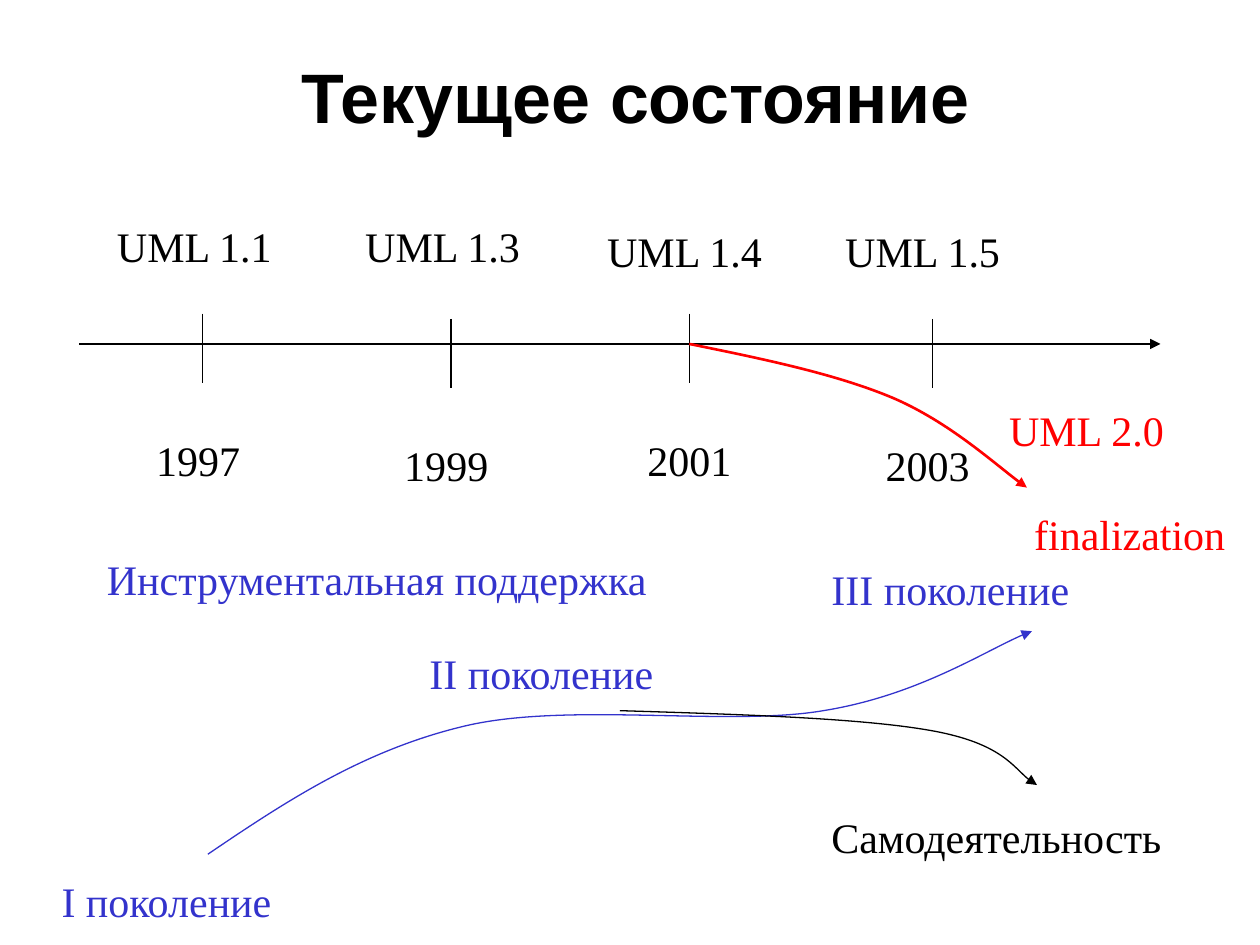
from lxml import etree
from pptx import Presentation
from pptx.dml.color import RGBColor
from pptx.enum.shapes import MSO_CONNECTOR
from pptx.enum.text import MSO_ANCHOR, MSO_AUTO_SIZE, PP_ALIGN
from pptx.oxml.ns import qn
from pptx.util import Inches, Pt

STRAIGHT = MSO_CONNECTOR.STRAIGHT
MIDDLE, CENTER, LEFT = MSO_ANCHOR.MIDDLE, PP_ALIGN.CENTER, PP_ALIGN.LEFT
GROW, FIXED = MSO_AUTO_SIZE.SHAPE_TO_FIT_TEXT, MSO_AUTO_SIZE.NONE

THEME = {
    "black": RGBColor(0, 0, 0),
    "red": RGBColor(0xFF, 0, 0),
    "blue": RGBColor(0x33, 0x33, 0xCC),
    "title": {"name": "Arial", "size": Pt(40), "bold": True},
    "label": {"name": "Times New Roman", "size": Pt(24), "bold": False},
    "thin": 0.74,
    "thick": 1.5,
}

# Content
TITLE = "Текущее состояние"
AXIS = (0.63, 9.21, 2.73)  # left, right, height on the slide
TICK_LENGTH, LABEL_HEIGHT = 0.55, 0.5
YEAR_WIDTH, VERSION_WIDTH = 0.98, 1.69
YEAR_DROP = 0.91  # from the top of a tick to its year
# version, version left and top, year, year left, tick x and top
RELEASES = [
    ("UML 1.1", 0.83, 1.7, "1997", 1.14, 1.61, 2.49),
    ("UML 1.3", 2.8, 1.7, "1999", 3.11, 3.58, 2.53),
    ("UML 1.4", 4.72, 1.74, "2001", 5.04, 5.47, 2.49),
    ("UML 1.5", 6.61, 1.74, "2003", 6.93, 7.4, 2.53),
]
# text, left, top, width, colour
LABELS = [
    ("UML 2.0", 7.91, 3.16, 1.61, "red"),
    ("finalization", 8.11, 3.99, 1.77, "red"),
    ("Инструментальная поддержка", 0.75, 4.34, 4.65, "blue"),
    ("I поколение", 0.39, 6.9, 2.56, "blue"),
    ("II поколение", 3.31, 5.09, 2.56, "blue"),
    ("III поколение", 6.5, 4.42, 2.56, "blue"),
    ("Самодеятельность", 6.5, 6.39, 3.35, "black"),
]
# colour, weight, start point followed by Bezier triples
CURVES = [
    ("red", "thick", [(5.47, 2.73), (6.06, 2.85), (6.64, 2.97), (7.09, 3.16),
                      (7.53, 3.35), (7.96, 3.74), (8.15, 3.87)]),
    ("blue", "thin", [(1.65, 6.78), (2.27, 6.36), (2.89, 5.95), (3.7, 5.76),
                      (4.52, 5.57), (5.79, 5.77), (6.54, 5.64),
                      (7.28, 5.52), (7.89, 5.12), (8.19, 5.01)]),
    ("black", "thin", [(4.92, 5.64), (5.89, 5.67), (6.85, 5.7), (7.4, 5.8),
                       (7.95, 5.9), (8.09, 6.16), (8.23, 6.23)]),
]


def write(shape, text, style, colour, align, fit):
    frame = shape.text_frame
    frame.word_wrap = True
    frame.auto_size = fit
    paragraph = frame.paragraphs[0]
    paragraph.alignment = align
    run = paragraph.add_run()
    run.text = text
    for name, value in THEME[style].items():
        setattr(run.font, name, value)
    run.font.color.rgb = THEME[colour]
    return paragraph


def add_label(text, left, top, width, colour="black"):
    box = slide.shapes.add_textbox(
        *map(Inches, (left, top, width, LABEL_HEIGHT)))
    paragraph = write(box, text, "label", colour, LEFT, GROW)
    paragraph.space_before = Pt(15)


def format_line(shape, colour, weight, arrow):
    shape.line.color.rgb = THEME[colour]
    shape.line.width = Pt(THEME[weight])
    if arrow:
        line = shape.line._get_or_add_ln()
        etree.SubElement(line, qn("a:tailEnd"), type="triangle")


def add_line(start, end, arrow=False):
    line = slide.shapes.add_connector(
        STRAIGHT, *map(Inches, (*start, *end)))
    format_line(line, "black", "thin", arrow)
    etree.SubElement(line._element.spPr, qn("a:effectLst"))


def add_curve(colour, weight, points):
    start, *controls = [(Inches(x), Inches(y)) for x, y in points]
    builder = slide.shapes.build_freeform(*start)
    builder.add_line_segments(controls, close=False)
    curve = builder.convert_to_shape()
    curve.shadow.inherit = False
    curve.fill.background()
    format_line(curve, colour, weight, True)
    # Merge every three segments into one Bezier segment
    segments = list(curve._element.iter(qn("a:lnTo")))
    for first in range(0, len(segments), 3):
        bezier = etree.Element(qn("a:cubicBezTo"))
        segments[first].addprevious(bezier)
        for segment in segments[first:first + 3]:
            bezier.append(segment[0])
            segment.getparent().remove(segment)


presentation = Presentation()
presentation.slide_width, presentation.slide_height = Inches(10), Inches(7.5)
slide = presentation.slides.add_slide(presentation.slide_layouts[5])

# Title
title = slide.shapes.title
title.left, title.top, title.width, title.height = map(
    Inches, (0.92, 0.17, 8.25, 1.17))
write(title, TITLE, "title", "black", CENTER, FIXED)
title.text_frame.vertical_anchor = MIDDLE

# Timeline
axis_left, axis_right, axis_top = AXIS
add_line((axis_left, axis_top), (axis_right, axis_top), arrow=True)
for version, left, top, year, year_left, tick, tick_top in RELEASES:
    add_line((tick, tick_top), (tick, tick_top + TICK_LENGTH))
    add_label(year, year_left, tick_top + YEAR_DROP, YEAR_WIDTH)
    add_label(version, left, top, VERSION_WIDTH)

# Branches and their labels
for curve in CURVES:
    add_curve(*curve)
for label in LABELS:
    add_label(*label)

presentation.save("out.pptx")
